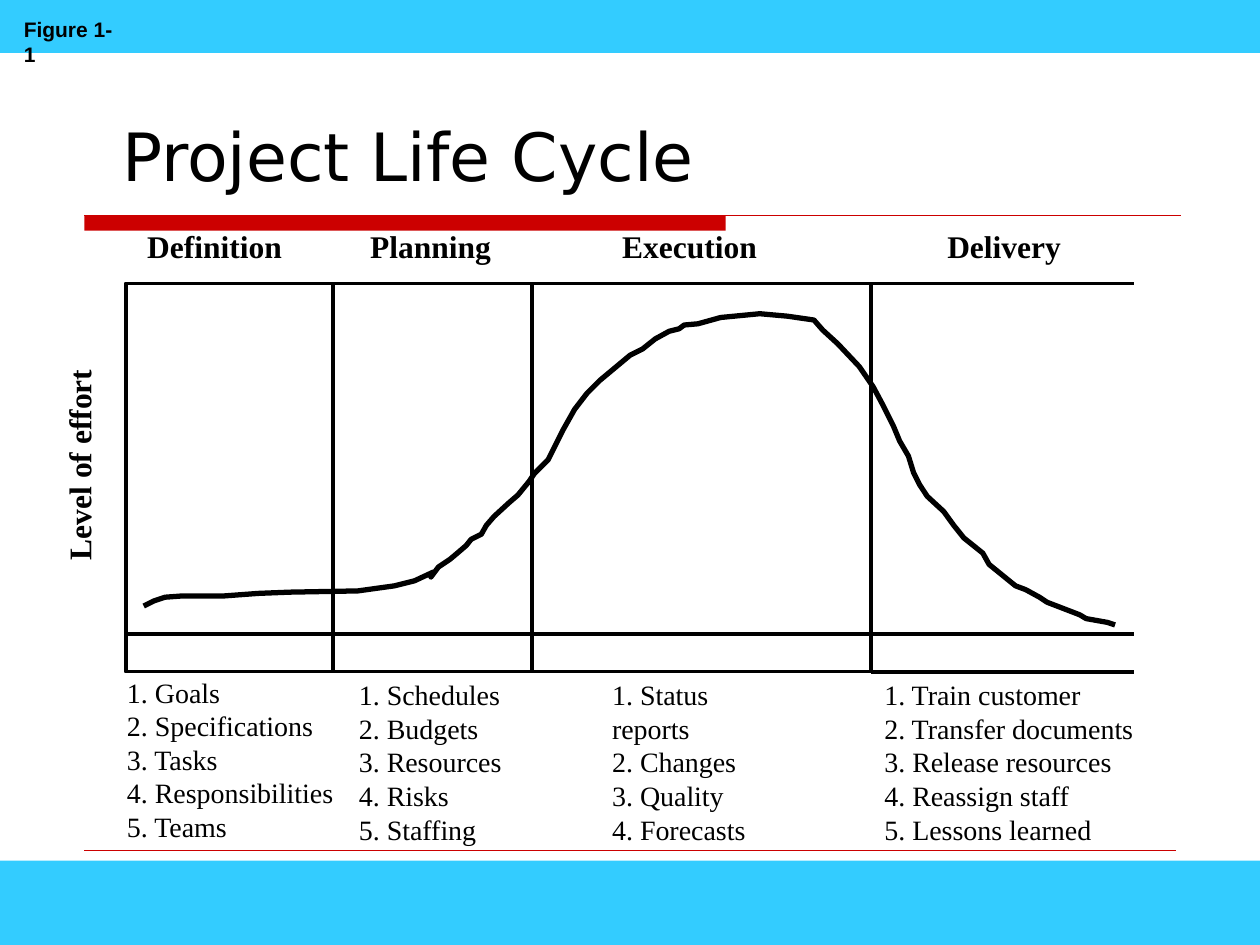
"""Build the project life cycle slide: effort curve over four phases."""
from itertools import pairwise
from lxml.etree import SubElement
from pptx import Presentation
from pptx.dml.color import RGBColor
from pptx.enum.shapes import MSO_CONNECTOR, MSO_SHAPE
from pptx.enum.text import MSO_ANCHOR, PP_ALIGN
from pptx.oxml.ns import qn
from pptx.util import Inches, Pt

COLORS = {"ink": "000000", "rule": "CC0000", "band": "33CCFF"}
SERIF = "Times New Roman"
WIDE, HIGH = 10, 7.5
EDGES = [1, 2.64, 4.22, 6.91, 9]
TOP, BASE, FOOT = 2.25, 5.03, 5.33
HEAD_TOP = 1.75

PHASES = [
    {"name": "Definition", "head": (1.07, 1.27), "list": (0.91, 5.31, 1.84),
     "items": ["Goals", "Specifications", "Tasks", "Responsibilities", "Teams"]},
    {"name": "Planning", "head": (2.84, 1.16), "list": (2.75, FOOT, 1.33),
     "items": ["Schedules", "Budgets", "Resources", "Risks", "Staffing"]},
    {"name": "Execution", "head": (4.84, 1.27), "list": (4.76, FOOT, 1.63),
     "items": ["Status reports", "Changes", "Quality", "Forecasts"]},
    {"name": "Delivery", "head": (7.42, 1.1), "list": (6.92, FOOT, 2.19),
     "items": ["Train customer", "Transfer documents", "Release resources",
               "Reassign staff", "Lessons learned"]},
]

EFFORT = [
    (114, 481), (122, 477), (131, 474), (145, 473), (178, 473), (205, 471),
    (230, 470), (284, 469), (313, 465), (329, 461), (344, 454), (342, 458),
    (348, 450), (357, 444), (363, 439), (370, 433), (374, 428), (382, 424),
    (386, 417), (392, 410), (404, 399), (411, 393), (420, 382), (424, 376),
    (435, 365), (447, 341), (456, 325), (466, 312), (476, 302), (488, 292),
    (500, 282), (510, 277), (520, 269), (531, 263), (539, 261), (543, 258),
    (554, 257), (572, 252), (603, 249), (625, 251), (646, 254), (653, 262),
    (665, 273), (682, 291), (693, 307), (701, 322), (709, 338), (714, 350),
    (721, 362), (725, 375), (730, 385), (736, 394), (749, 406), (757, 417),
    (765, 427), (780, 439), (785, 448), (806, 465), (814, 468), (825, 474),
    (831, 478), (857, 488), (862, 491), (879, 494), (885, 496),
]


def color(name):
    return RGBColor.from_string(COLORS[name])


def style(frame, size, font, bold=False):
    for para in frame.paragraphs:
        para.alignment = PP_ALIGN.LEFT
        for run in para.runs:
            run.font.size, run.font.name, run.font.bold = Pt(size), font, bold
            run.font.color.rgb = color("ink")


def label(slide, text, place, size, font=SERIF, bold=False):
    box = slide.shapes.add_textbox(*map(Inches, place))
    box.text_frame.word_wrap = False
    box.text_frame.text = text
    style(box.text_frame, size, font, bold)
    return box


def block(slide, place, fill=None):
    shape = slide.shapes.add_shape(MSO_SHAPE.RECTANGLE, *map(Inches, place))
    shape.shadow.inherit = False
    if fill:
        shape.fill.solid()
        shape.fill.fore_color.rgb = color(fill)
        shape.line.fill.background()
    else:
        shape.fill.background()
        shape.line.color.rgb = color("ink")
        shape.line.width = Pt(2.25)


def rule(slide, left, right, y, name="ink", width=2.25):
    line = slide.shapes.add_connector(
        MSO_CONNECTOR.STRAIGHT, *map(Inches, (left, y, right, y)))
    line.line.color.rgb = color(name)
    line.line.width = Pt(width)
    SubElement(line._element.spPr, qn("a:effectLst"))


def frame(slide):
    block(slide, (0.67, 1.71, 5.09, 0.12), "rule")
    rule(slide, 0.67, 9.37, 1.71, "rule", 0.75)
    rule(slide, 0.67, 9.33, 6.75, "rule", 0.25)
    block(slide, (0, 0, WIDE, 0.42), "band")
    block(slide, (0, 6.83, WIDE, HIGH - 6.83), "band")
    label(slide, "Figure 1-1", (0.09, 0.08, 0.99, 0.3), 12, "Arial", True)
    title = slide.shapes.title
    title.left, title.top, title.width, title.height = map(
        Inches, (0.87, 0.45, 8.26, 1.15))
    title.text_frame.text = "Project Life Cycle"
    title.text_frame.vertical_anchor = MSO_ANCHOR.BOTTOM
    style(title.text_frame, 38, "DejaVu Sans")


def curve(slide):
    pen = slide.shapes.build_freeform(*EFFORT[0], scale=Inches(0.01))
    pen.add_line_segments(EFFORT[1:], close=False)
    shape = pen.convert_to_shape()
    shape.shadow.inherit = False
    shape.fill.background()
    shape.line.color.rgb = color("ink")
    shape.line.width = Pt(3)


def chart(slide):
    curve(slide)
    rule(slide, EDGES[0], EDGES[-1], BASE)
    for left, right in pairwise(EDGES[:-1]):
        block(slide, (left, TOP, right - left, FOOT - TOP))
    for y in (TOP, FOOT):
        rule(slide, *EDGES[-2:], y)
    axis = label(slide, "Level of effort", (-0.23, 3.49, 1.71, 0.4), 18, bold=True)
    axis.rotation = 270


def phases(slide):
    for phase in PHASES:
        left, width = phase["head"]
        label(slide, phase["name"], (left, HEAD_TOP, width, 0.4), 18, bold=True)
        left, top, width = phase["list"]
        items = phase["items"]
        text = "\n".join(f"{n}. {item}" for n, item in enumerate(items, 1))
        label(slide, text, (left, top, width, 0.1 + 0.27 * len(items)), 16)


def main():
    deck = Presentation()
    deck.slide_width, deck.slide_height = Inches(WIDE), Inches(HIGH)
    slide = deck.slides.add_slide(deck.slide_layouts[5])
    frame(slide)
    chart(slide)
    phases(slide)
    deck.save("out.pptx")


if __name__ == "__main__":
    main()
